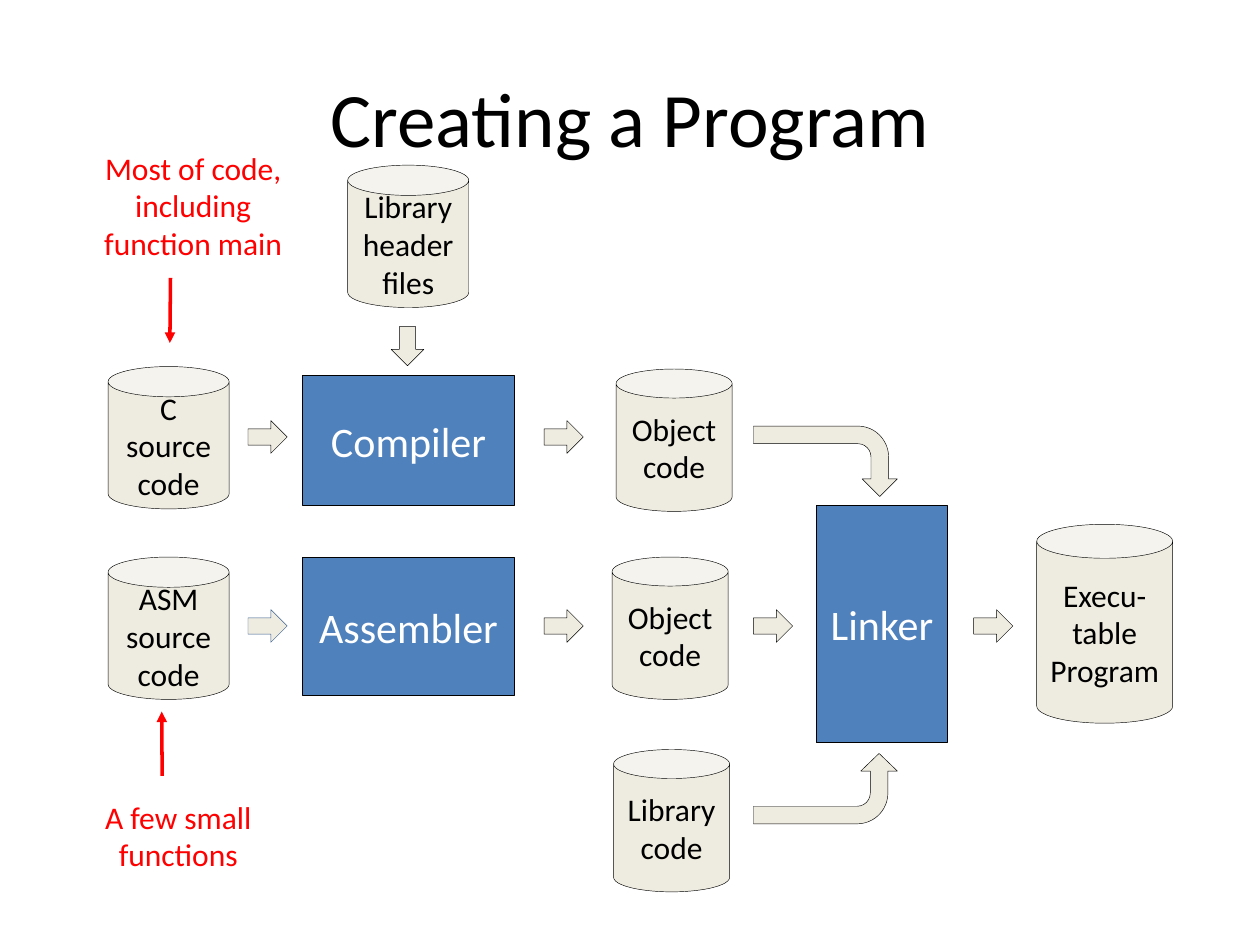
"""Build the slide that shows how source files become a program."""
from pptx import Presentation, util as u
from pptx.dml.color import RGBColor
from pptx.enum import shapes, text
from pptx.oxml import ns
from lxml import etree

COLORS = {
    "tool": "4F81BD", "file": "EEECE1", "outline": "000000",
    "blue outline": "3A5F8C", "note": "FF0000", "light": "FFFFFF", "dark": "000000",
}
KINDS = shapes.MSO_SHAPE
FILE_SIZE = (2.44, 2.87)
OBJECT_SIZE = (2.34, 2.87)
ARROW_SIZE = (0.79, 0.66)
BEND_SIZE = (1.42, 2.9)


def color(name):
    """Return the named colour."""
    return RGBColor.from_string(COLORS[name])


def write(shape, words, size, ink):
    """Put centred text into a shape."""
    frame = shape.text_frame
    frame.text = words
    frame.word_wrap = True
    frame.vertical_anchor = text.MSO_ANCHOR.MIDDLE
    for paragraph in frame.paragraphs:
        paragraph.alignment = text.PP_ALIGN.CENTER
        for name, value in {"name": "Calibri", "size": u.Pt(size)}.items():
            setattr(paragraph.font, name, value)
        paragraph.font.color.rgb = color(ink)


def add_part(slide, kind, origin, offset, size, fill=None, outline="outline", weight=0.25):
    """Add a shape at an offset from its region's origin, in centimetres."""
    left, top = (start + step for start, step in zip(origin, offset))
    shape = slide.shapes.add_shape(kind, *map(u.Cm, (left, top, *size)))
    shape.shadow.inherit = False
    if fill:
        shape.fill.solid()
        shape.fill.fore_color.rgb = color(fill)
    else:
        shape.fill.background()
    shape.line.color.rgb = color(outline)
    shape.line.width = u.Pt(weight)
    return shape


def add_tool(slide, origin, offset, size, words):
    """Add a blue processing step."""
    write(add_part(slide, KINDS.FLOWCHART_PROCESS, origin, offset, size, "tool"), words, 24, "light")


def add_file(slide, origin, offset, size, words):
    """Add a can that stands for a file."""
    write(add_part(slide, KINDS.CAN, origin, offset, size, "file"), words, 18, "dark")


def add_arrow(slide, origin, offset, outline="outline", rotation=0):
    """Add a small block arrow."""
    arrow = add_part(slide, KINDS.RIGHT_ARROW, origin, offset, ARROW_SIZE, "file", outline)
    arrow.rotation = rotation


def add_note(slide, origin, offset, size, words, adjustments):
    """Add a red note whose leader ends in an arrowhead."""
    note = add_part(slide, KINDS.LINE_CALLOUT_1_NO_BORDER, origin, offset, size,
                    outline="note", weight=2)
    for index, value in enumerate(adjustments):
        note.adjustments[index] = value
    line = note.line._get_or_add_ln()
    etree.SubElement(line, ns.qn("a:tailEnd"), type="triangle")
    write(note, words, 18, "note")


def add_title(slide, box):
    """Place and format the slide title."""
    title = slide.shapes.title
    for name, value in zip(("left", "top", "width", "height"), box):
        setattr(title, name, u.Cm(value))
    write(title, "Creating a Program", 44, "dark")


def add_linking(slide, origin):
    """Draw the linker with its inputs and the finished program."""
    add_tool(slide, origin, (4.09, 2.34), (2.64, 4.78), "Linker")
    for left in (2.82, 7.26):
        add_arrow(slide, origin, (left, 4.44))
    upper, lower = (
        add_part(slide, KINDS.BENT_ARROW, origin, (3.56, top), BEND_SIZE, "file")
        for top in (0, 6.6)
    )
    upper.rotation = 90
    lower.rotation = 270
    lower.adjustments[1] = 0.26
    lower._element.spPr.find(ns.qn("a:xfrm")).set("flipV", "1")
    add_file(slide, origin, (8.53, 2.72), (2.74, 4.01), "Execu-table Program")
    add_file(slide, origin, (0, 7.26), OBJECT_SIZE, "Library\vcode")


def add_translation(slide, origin):
    """Draw the compiler and assembler with their object files."""
    add_tool(slide, origin, (1.1, 4.24), (4.27, 2.62), "Compiler")
    add_tool(slide, origin, (1.1, 7.9), (4.27, 2.79), "Assembler")
    for left in (0, 5.97):
        for top in (5.15, 8.96):
            blue = left == 0 and top == 8.96
            add_arrow(slide, origin, (left, top), "blue outline" if blue else "outline")
    for offset in ((7.34, 7.9), (7.42, 4.11)):
        add_file(slide, origin, offset, OBJECT_SIZE, "Object code")
    add_file(slide, origin, (2.01, 0), FILE_SIZE, "Library header files")
    add_arrow(slide, origin, (2.82, 3.32), rotation=90)


def add_sources(slide, origin):
    """Draw the source files and the notes about them."""
    for top, language in ((4.42, "C"), (8.26, "ASM")):
        add_file(slide, origin, (0.78, top), FILE_SIZE, f"{language} source\vcode")
    add_note(slide, origin, (0.3, 0), (4.39, 2.34),
             "Most of code, including function main", (1.126, 0.396, 1.686, 0.393))
    add_note(slide, origin, (0, 12.75), (4.39, 2.24),
             "A few small functions", (-0.036, 0.426, -0.614, 0.424))


def main():
    """Build and save the presentation."""
    presentation = Presentation()
    presentation.slide_width, presentation.slide_height = u.Cm(25.4), u.Cm(19.05)
    slide = presentation.slides.add_slide(presentation.slide_layouts[5])
    add_title(slide, (1.27, 0.76, 22.86, 3.18))
    add_linking(slide, (12.37, 7.85))
    add_translation(slide, (5, 3.33))
    add_sources(slide, (1.4, 2.97))
    presentation.save("out.pptx")


if __name__ == "__main__":
    main()
